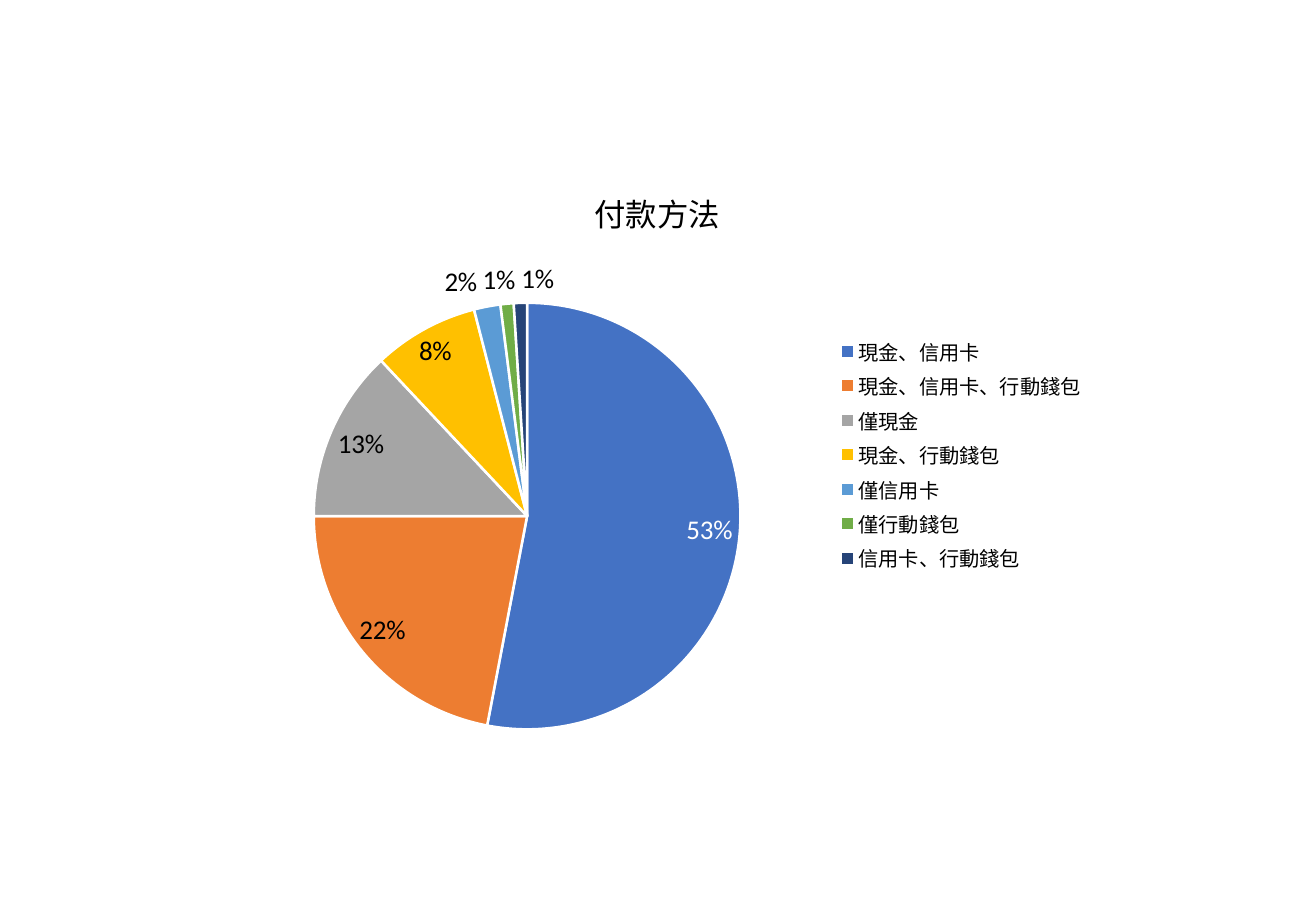
from lxml.etree import SubElement
from pptx import Presentation
from pptx.chart.data import CategoryChartData
from pptx.dml.color import RGBColor
from pptx.enum.chart import XL_CHART_TYPE, XL_LABEL_POSITION, XL_LEGEND_POSITION
from pptx.oxml import parse_xml
from pptx.oxml.ns import nsdecls, qn
from pptx.util import Cm, Pt

BLACK = RGBColor(0x00, 0x00, 0x00)
WHITE = RGBColor(0xFF, 0xFF, 0xFF)
BLUE = RGBColor(0x44, 0x72, 0xC4)
ORANGE = RGBColor(0xED, 0x7D, 0x31)
GRAY = RGBColor(0xA5, 0xA5, 0xA5)
YELLOW = RGBColor(0xFF, 0xC0, 0x00)
LIGHT_BLUE = RGBColor(0x5B, 0x9B, 0xD5)
GREEN = RGBColor(0x70, 0xAD, 0x47)
NAVY = RGBColor(0x26, 0x44, 0x78)

LATIN_FONT = "Calibri"
CHINESE_FONT = "Noto Sans CJK SC"
INSIDE = XL_LABEL_POSITION.INSIDE_END
OUTSIDE = XL_LABEL_POSITION.OUTSIDE_END

PAYMENT_METHODS = [
    ("現金、信用卡", 53, BLUE, WHITE, INSIDE, (0, 0.02)),
    ("現金、信用卡、行動錢包", 22, ORANGE, BLACK, INSIDE, (-0.01, 0)),
    ("僅現金", 13, GRAY, BLACK, INSIDE, (0, -0.01)),
    ("現金、行動錢包", 8, YELLOW, BLACK, INSIDE, (-0.01, 0)),
    ("僅信用卡", 2, LIGHT_BLUE, BLACK, OUTSIDE, (-0.01, 0)),
    ("僅行動錢包", 1, GREEN, BLACK, OUTSIDE, (0.01, 0)),
    ("信用卡、行動錢包", 1, NAVY, BLACK, OUTSIDE, (0.02, 0)),
]


def format_font(font, size, color=BLACK, name=LATIN_FONT):
    for attribute, value in {"size": Pt(size), "name": name, "bold": False}.items():
        setattr(font, attribute, value)
    font.color.rgb = color


def place_part(part, index, **settings):
    for previous in part.findall(qn("c:layout")):
        part.remove(previous)
    layout = parse_xml(f"<c:layout {nsdecls('c')}><c:manualLayout/></c:layout>")
    for tag, value in settings.items():
        SubElement(layout[0], qn(f"c:{tag}")).set("val", str(value))
    part.insert(index, layout)


def format_slices(plot):
    plot.vary_by_categories = True
    plot.has_data_labels = True
    labels = plot.data_labels
    for attribute, value in {
        "show_percentage": True,
        "show_value": False,
        "number_format": "0%",
        "number_format_is_linked": False,
    }.items():
        setattr(labels, attribute, value)
    format_font(labels.font, 16)
    for index, (_, _, fill, label_color, position, _) in enumerate(PAYMENT_METHODS):
        point = plot.series[0].points[index]
        point.format.fill.solid()
        point.format.fill.fore_color.rgb = fill
        point.format.line.color.rgb = WHITE
        point.format.line.width = Pt(1.5)
        format_font(point.data_label.font, 16, label_color)
        point.data_label.position = position


def arrange_chart(space):
    for label, method in zip(space.xpath(".//c:dLbl"), PAYMENT_METHODS):
        label.find(qn("c:showVal")).set("val", "0")
        label.find(qn("c:showPercent")).set("val", "1")
        shift_x, shift_y = method[5]
        place_part(label, 1, x=shift_x, y=shift_y)
    for leader_lines in space.xpath(".//c:showLeaderLines"):
        leader_lines.set("val", "0")
    for latin in space.xpath(".//a:latin"):
        east_asian = parse_xml(f'<a:ea {nsdecls("a")} typeface="{CHINESE_FONT}"/>')
        latin.addnext(east_asian)
    edges = {"xMode": "edge", "yMode": "edge"}
    title, plot_area, legend = (
        space.xpath(f".//c:{tag}")[0] for tag in ("title", "plotArea", "legend")
    )
    place_part(title, 1, **edges, x=0.42, y=0.03)
    place_part(plot_area, 0, layoutTarget="inner", **edges, x=0.1, y=0.24, w=0.5, h=0.73)
    place_part(legend, 1, **edges, x=0.7, y=0.29, w=0.29, h=0.42)


def add_payment_chart(slide, left, top, width, height):
    data = CategoryChartData()
    data.categories = [method[0] for method in PAYMENT_METHODS]
    data.add_series("Series 1", [method[1] for method in PAYMENT_METHODS])
    chart = slide.shapes.add_chart(
        XL_CHART_TYPE.PIE, left, top, width, height, data
    ).chart
    format_font(chart.font, 10)
    chart.has_title = True
    run = chart.chart_title.text_frame.paragraphs[0].add_run()
    run.text = "付款方法"
    format_font(run.font, 18.6, name=CHINESE_FONT)
    chart.has_legend = True
    chart.legend.position = XL_LEGEND_POSITION.RIGHT
    chart.legend.include_in_layout = False
    format_font(chart.legend.font, 12, name=CHINESE_FONT)
    format_slices(chart.plots[0])
    arrange_chart(chart.element)


def main():
    presentation = Presentation()
    presentation.slide_width = Cm(27.51)
    presentation.slide_height = Cm(19.05)
    slide = presentation.slides.add_slide(presentation.slide_layouts[6])
    add_payment_chart(slide, Cm(4.6), Cm(3.4), Cm(18.34), Cm(12.22))
    presentation.save("out.pptx")


if __name__ == "__main__":
    main()
